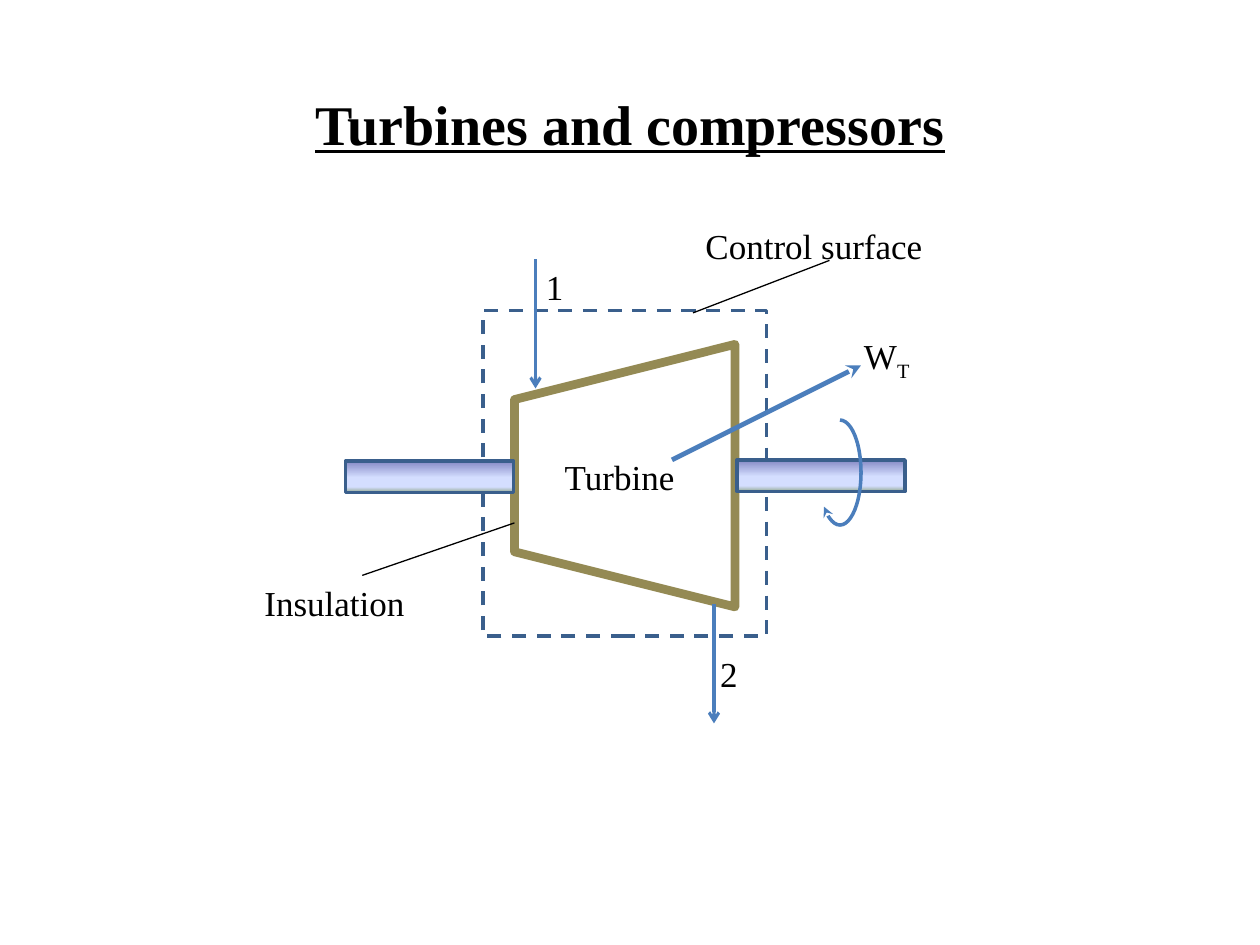
from pptx import Presentation
from pptx import util as u
from pptx.dml.color import RGBColor
from pptx.enum import dml, shapes, text
from pptx.oxml.ns import qn
from lxml import etree

COLORS = {"ink": "000000", "turbine": "948A54", "edge": "3A5F8C", "flow": "4B7EBC"}
SHAFT_STOPS = [(0, "8488C4"), (53, "D4DEFF"), (83, "D4DEFF"), (100, "96AB94")]
FONT = "Times New Roman"
COLS, ROWS = 120, 90
SHAPE = shapes.MSO_SHAPE

prs = Presentation()
prs.slide_width, prs.slide_height = u.Inches(10), u.Inches(7.5)
CELL_W, CELL_H = prs.slide_width / COLS, prs.slide_height / ROWS


def place(box, col, row):
    return round((box[0] + col) * CELL_W), round((box[1] + row) * CELL_H)


def size(cols, rows):
    return round(cols * CELL_W), round(rows * CELL_H)


def set_line(sp, color, width, dash=None, arrow=None):
    sp.line.color.rgb = RGBColor.from_string(COLORS[color])
    sp.line.width = u.Pt(width)
    if dash:
        sp.line.dash_style = dash
    if arrow:
        ln = sp._element.spPr.find(qn("a:ln"))
        etree.SubElement(ln, qn("a:tailEnd"), type=arrow)


def add_text(s, box, at, *runs, pt=20, bold=None, underline=None, align=None):
    tb = s.shapes.add_textbox(*place(box, *at[:2]), *size(*at[2:]))
    tf = tb.text_frame
    tf.word_wrap = True
    p = tf.paragraphs[0]
    p.alignment = align
    for words, baseline in runs:
        r = p.add_run()
        r.text = words
        r.font.name, r.font.size = FONT, u.Pt(pt)
        r.font.bold, r.font.underline = bold, underline
        r.font.color.rgb = RGBColor.from_string(COLORS["ink"])
        if baseline:
            r.font._element.set("baseline", str(baseline * 1000))


def add_outline(s, box, at, kind, color, width, **line):
    sp = s.shapes.add_shape(kind, *place(box, *at[:2]), *size(*at[2:]))
    sp.shadow.inherit = False
    sp.fill.background()
    set_line(sp, color, width, **line)
    return sp


def add_line(s, box, start, end, color, width, arrow=None):
    c = s.shapes.add_connector(
        shapes.MSO_CONNECTOR.STRAIGHT, *place(box, *start), *place(box, *end))
    set_line(c, color, width, arrow=arrow)
    etree.SubElement(c._element.spPr, qn("a:effectLst"))


def add_shaft(s, box, col, row):
    sp = add_outline(s, box, (col, row, 16, 3), SHAPE.RECTANGLE, "edge", 2)
    sp.fill.gradient()
    sp.fill.gradient_angle = 270
    stops = sp._element.spPr.find(qn("a:gradFill")).find(qn("a:gsLst"))
    for old in list(stops):
        stops.remove(old)
    for pos, color in SHAFT_STOPS:
        gs = etree.SubElement(stops, qn("a:gs"), pos=str(pos * 1000))
        etree.SubElement(gs, qn("a:srgbClr"), val=color)


def draw_title(s, box):
    add_text(s, box, (0, 0, *box[2:]), ("Turbines and compressors", 0),
             pt=32, bold=True, underline=True, align=text.PP_ALIGN.CENTER)


def draw_turbine(s, box):
    casing = add_outline(s, box, (23, 14.8, 25, 21), SHAPE.TRAPEZOID, "turbine", 5)
    casing.rotation = 270
    add_outline(s, box, (22, 9.6, 27, 31), SHAPE.RECTANGLE, "edge", 2,
                dash=dml.MSO_LINE.DASH)
    add_shaft(s, box, 8.9, 23.9)
    add_shaft(s, box, 46.2, 23.8)

    for start, end, width, arrow in [
        ((27, 4.7), (27, 17), 1.75, "arrow"),
        ((44, 37.5), (44, 48.9), 1.75, "arrow"),
        ((40, 23.8), (58, 14.8), 2.75, "stealth"),
    ]:
        add_line(s, box, start, end, "flow", width, arrow)

    for col, row, cols, *runs in [
        (28.6, 22.8, 15, ("Turbine", 0)),
        (57.1, 11.3, 15, ("W", 0), ("T", -25)),
        (26.8, 4.7, 4, ("1", 0)),
        (43.4, 41.6, 4, ("2", 0)),
        (42, 0.8, 32, ("Control surface", 0)),
        (0, 34.8, 21, ("Insulation", 0)),
    ]:
        add_text(s, box, (col, row, cols, 5.3), *runs)

    add_line(s, box, (42, 9.8), (55, 4.8), "ink", 0.75)
    add_line(s, box, (10.5, 34.8), (25, 29.8), "ink", 0.75)
    spin = add_outline(s, box, (54, 20, 4, 10), SHAPE.ARC, "flow", 2, arrow="stealth")
    spin.adjustments[0], spin.adjustments[1] = 162, 69.01


def main():
    s = prs.slides.add_slide(prs.slide_layouts[6])
    draw_title(s, (6, 7.9, 108, 11.6))
    draw_turbine(s, (24, 20, 74, 49))
    prs.save("out.pptx")


if __name__ == "__main__":
    main()
